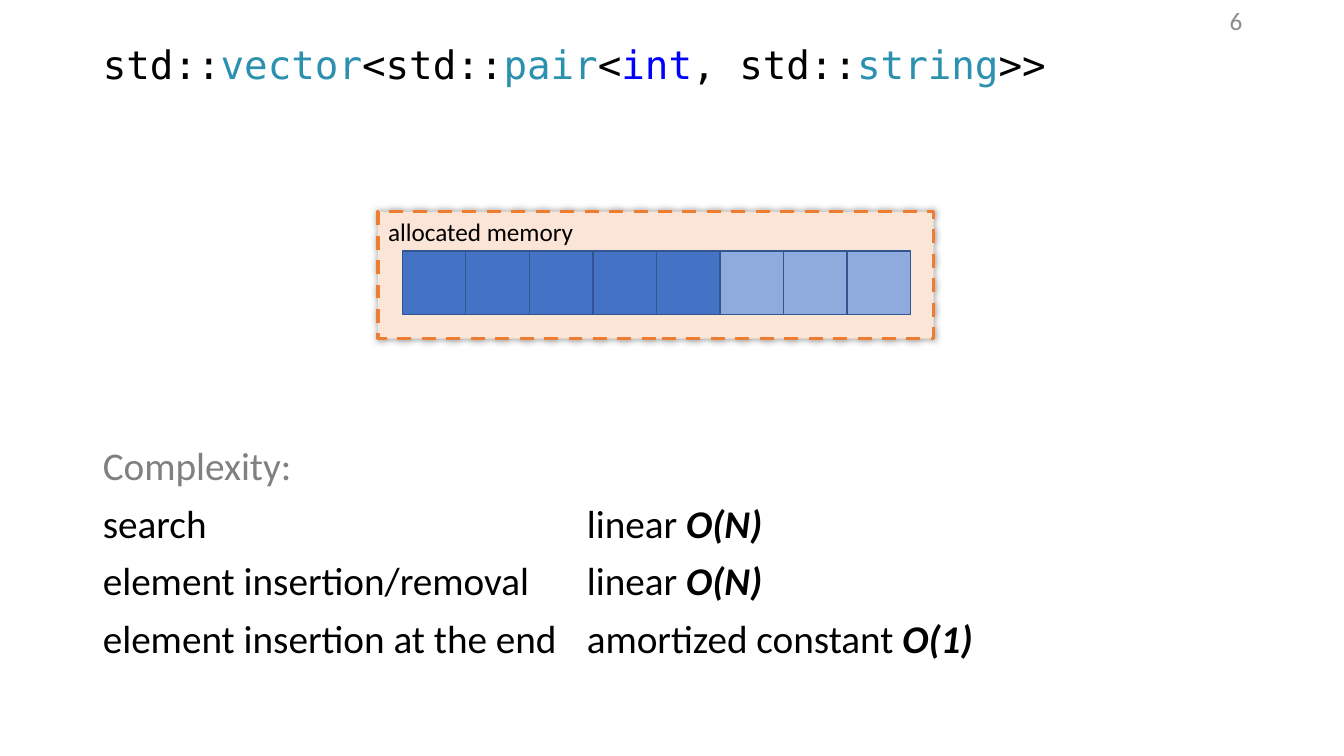
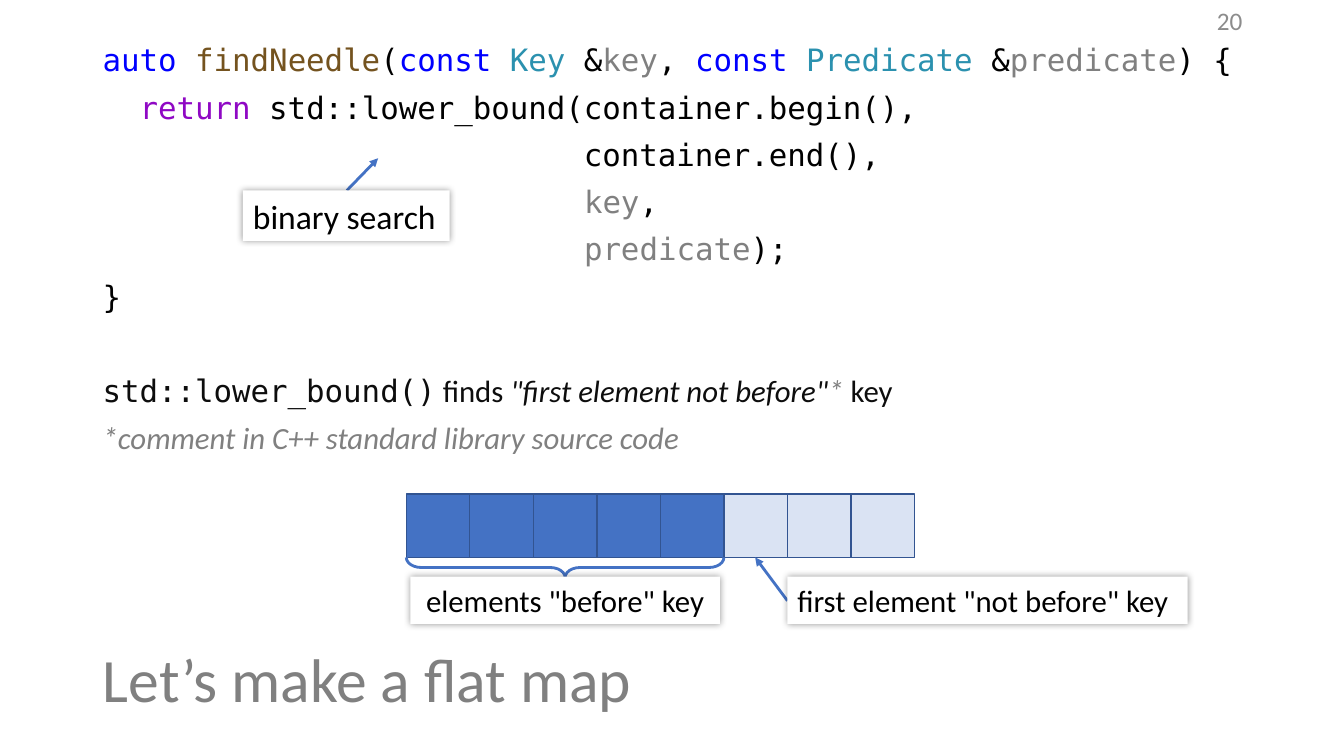
from lxml import etree
from pptx import Presentation
from pptx.dml.color import RGBColor
from pptx.enum.dml import MSO_LINE
from pptx.enum.shapes import MSO_CONNECTOR, MSO_SHAPE
from pptx.enum.text import MSO_ANCHOR, MSO_AUTO_SIZE, PP_ALIGN
from pptx.oxml import parse_xml
from pptx.oxml.ns import nsdecls, qn
from pptx.util import Inches, Pt

SANS, MONO = "Calibri", "DejaVu Sans Mono"
LEFT = 0.92
SIDE = 0.63
INDENT = " " * 26
COLORS = {
    "black": "000000", "ink": "0D0D0D", "gray": "808080", "page": "8C8C8C",
    "type": "2B91AF", "word": "0000FF", "func": "74531F", "flow": "8F08C4",
    "blue": "4472C4", "edge": "325491", "mid": "8FAADC", "pale": "DAE3F3",
    "peach": "FBE5D6", "orange": "ED7D31", "white": "FFFFFF",
}


def color(name):
    return RGBColor.from_string(COLORS[name])


def box(x, y, w, h):
    return [Inches(v) for v in (x, y, w, h)]


def add_run(para, text, tint="black", size=22, face=SANS, bold=False, slant=False):
    run = para.add_run()
    run.text = text
    font = run.font
    font.name, font.size = face, Pt(size)
    font.bold, font.italic = bold, slant
    font.color.rgb = color(tint)


def add_code(para, parts, size):
    """Write (text, colour) parts in the code font."""
    for text, tint in parts:
        add_run(para, text, tint, size, MONO)


def add_title(slide, y, h, anchor):
    """Place the title and return its paragraph."""
    title = slide.shapes.title
    title.left, title.top, title.width, title.height = box(LEFT, y, 11.5, h)
    frame = title.text_frame
    frame.auto_size = MSO_AUTO_SIZE.NONE
    frame.vertical_anchor = anchor
    para = frame.paragraphs[0]
    para.alignment, para.line_spacing = PP_ALIGN.LEFT, 0.9
    return para


def add_page(slide, number):
    frame = slide.shapes.add_textbox(*box(9.42, 0, 3, 0.4)).text_frame
    frame.word_wrap = True
    frame.vertical_anchor = MSO_ANCHOR.MIDDLE
    para = frame.paragraphs[0]
    para.alignment = PP_ALIGN.RIGHT
    add_run(para, str(number), "page", 18)


def add_rect(shapes, place, fill, line=None, width=1):
    rect = shapes.add_shape(MSO_SHAPE.RECTANGLE, *box(*place))
    rect.shadow.inherit = False
    rect.fill.solid()
    rect.fill.fore_color.rgb = color(fill)
    if line:
        rect.line.color.rgb = color(line)
        rect.line.width = Pt(width)
    else:
        rect.line.fill.background()
    return rect


def add_glow(shape):
    """Give the shape a soft shadow on all sides."""
    effects = shape._element.spPr.find(qn("a:effectLst"))
    effects.append(parse_xml(
        f'<a:outerShdw {nsdecls("a")} blurRad="{Pt(5)}" dist="0" algn="ctr" rotWithShape="0">'
        '<a:srgbClr val="000000"><a:alpha val="40000"/></a:srgbClr></a:outerShdw>'))


def add_label(slide, place, text, size=22, align=PP_ALIGN.LEFT, **look):
    style = {"fill": "white", **look}
    label = add_rect(slide.shapes, place, **style)
    add_glow(label)
    frame = label.text_frame
    frame.vertical_anchor = MSO_ANCHOR.TOP
    para = frame.paragraphs[0]
    para.alignment = align
    add_run(para, text, size=size)
    return label


def add_array(slide, x, y, rest):
    """Draw five blue cells, then three in the rest colour."""
    group = slide.shapes.add_group_shape()
    for i in range(8):
        fill = "blue" if i < 5 else rest
        add_rect(group.shapes, (x + i * SIDE, y, SIDE, SIDE), fill, "edge")


def add_arrow(slide, *ends):
    arrow = slide.shapes.add_connector(MSO_CONNECTOR.STRAIGHT, *box(*ends))
    arrow.line.color.rgb = color("blue")
    arrow.line.width = Pt(2)
    line = arrow.line._get_or_add_ln()
    etree.SubElement(line, qn("a:tailEnd"), type="triangle")
    etree.SubElement(arrow._element.spPr, qn("a:effectLst"))


def add_brace(slide, x, y, span, depth):
    """Draw a brace that hangs below a row, pointing down."""
    place = box(x + (span - depth) / 2, y + (depth - span) / 2, depth, span)
    brace = slide.shapes.add_shape(MSO_SHAPE.LEFT_BRACE, *place)
    brace.rotation = 270
    brace.adjustments[0] = 0.74
    brace.shadow.inherit = False
    brace.fill.background()
    brace.line.color.rgb = color("blue")
    brace.line.width = Pt(2)


def add_costs(slide, rows):
    """Add the table of operations and their complexity."""
    size = len(rows) + 1
    place = box(LEFT, 4.35, 9.24, size * 0.57)
    table = slide.shapes.add_table(size, 2, *place).table
    table.first_row = table.horz_banding = False
    for col, width in zip(table.columns, (4.8, 4.44)):
        col.width = Inches(width)
    for cell in table.iter_cells():
        cell.fill.background()
    head = table.cell(0, 0)
    head.merge(table.cell(0, 1))
    add_run(head.text_frame.paragraphs[0], "Complexity:", "gray", 28)
    for i, (task, kind, order) in enumerate(rows, 1):
        add_run(table.cell(i, 0).text_frame.paragraphs[0], task, size=28)
        para = table.cell(i, 1).text_frame.paragraphs[0]
        add_run(para, kind, size=28)
        add_run(para, order, size=28, bold=True, slant=True)


def add_body(slide, lines):
    """Write the code lines and the two remarks below them."""
    frame = slide.shapes.add_textbox(*box(LEFT, 0.4, 12, 5.65)).text_frame
    frame.word_wrap = True

    def next_line(gap=10):
        para = frame.add_paragraph()
        para.line_spacing, para.space_before = 0.9, Pt(gap)
        return para

    first = frame.paragraphs[0]
    first.line_spacing = 0.9
    add_code(first, lines[0], 22)
    for parts in lines[1:]:
        add_code(next_line(), parts, 22)

    note = next_line(43.5)
    add_code(note, [("std::lower_bound()", "ink")], 22)
    add_run(note, " finds ", "ink")
    add_run(note, '"first element not before"', "ink", slant=True)
    add_run(note, "*", "gray", slant=True)
    add_run(note, " key", "ink")
    add_run(next_line(), "*comment in C++ standard library source code", "gray", slant=True)


def build_vector(slide):
    add_code(add_title(slide, 0.4, 0.8, MSO_ANCHOR.TOP), [
        ("std::", "black"), ("vector", "type"), ("<std::", "black"),
        ("pair", "type"), ("<", "black"), ("int", "word"),
        (", std::", "black"), ("string", "type"), (">>", "black")], 28)
    frame = add_label(slide, (3.75, 2.1, 5.51, 1.26), "allocated memory", 18,
                      fill="peach", line="orange", width=2.5)
    frame.line.dash_style = MSO_LINE.DASH
    add_page(slide, 6)
    add_array(slide, 3.99, 2.49, "mid")
    add_costs(slide, [
        ("search", "linear ", "O(N)"),
        ("element insertion/removal", "linear ", "O(N)"),
        ("element insertion at the end", "amortized constant ", "O(1)")])


def build_search(slide):
    title = add_title(slide, 6.05, 1.45, MSO_ANCHOR.MIDDLE)
    add_run(title, "Let’s make a flat map", "gray", 44)
    add_body(slide, [
        [("auto", "word"), (" ", "black"), ("findNeedle", "func"), ("(", "black"),
         ("const", "word"), (" ", "black"), ("Key", "type"), (" &", "black"),
         ("key", "gray"), (", ", "black"), ("const", "word"), (" ", "black"),
         ("Predicate", "type"), (" &", "black"), ("predicate", "gray"),
         (") {", "black")],
        [("  ", "black"), ("return", "flow"),
         (" std::lower_bound(container.begin(),", "black")],
        [(INDENT + "container.end(),", "black")],
        [(INDENT, "black"), ("key", "gray"), (",", "black")],
        [(INDENT, "black"), ("predicate", "gray"), (");", "black")],
        [("}", "black")]])
    add_page(slide, 20)
    x, y = 4.03, 4.9
    add_array(slide, x, y, "pale")
    add_arrow(slide, 7.81, 5.96, 7.49, y + SIDE)
    add_brace(slide, x, y + SIDE, 5 * SIDE, 0.2)
    add_label(slide, (4.07, 5.72, 3.07, 0.47), 'elements "before" key',
              align=PP_ALIGN.CENTER)
    add_label(slide, (7.81, 5.72, 3.97, 0.47), 'first element "not before" key')
    add_arrow(slide, 3.44, 1.89, 3.75, 1.57)
    add_label(slide, (2.41, 1.89, 2.05, 0.5), "binary search", 24)


def main():
    deck = Presentation()
    deck.slide_width, deck.slide_height = Inches(13.33), Inches(7.5)
    for build in (build_vector, build_search):
        build(deck.slides.add_slide(deck.slide_layouts[5]))
    deck.save("out.pptx")


if __name__ == "__main__":
    main()
